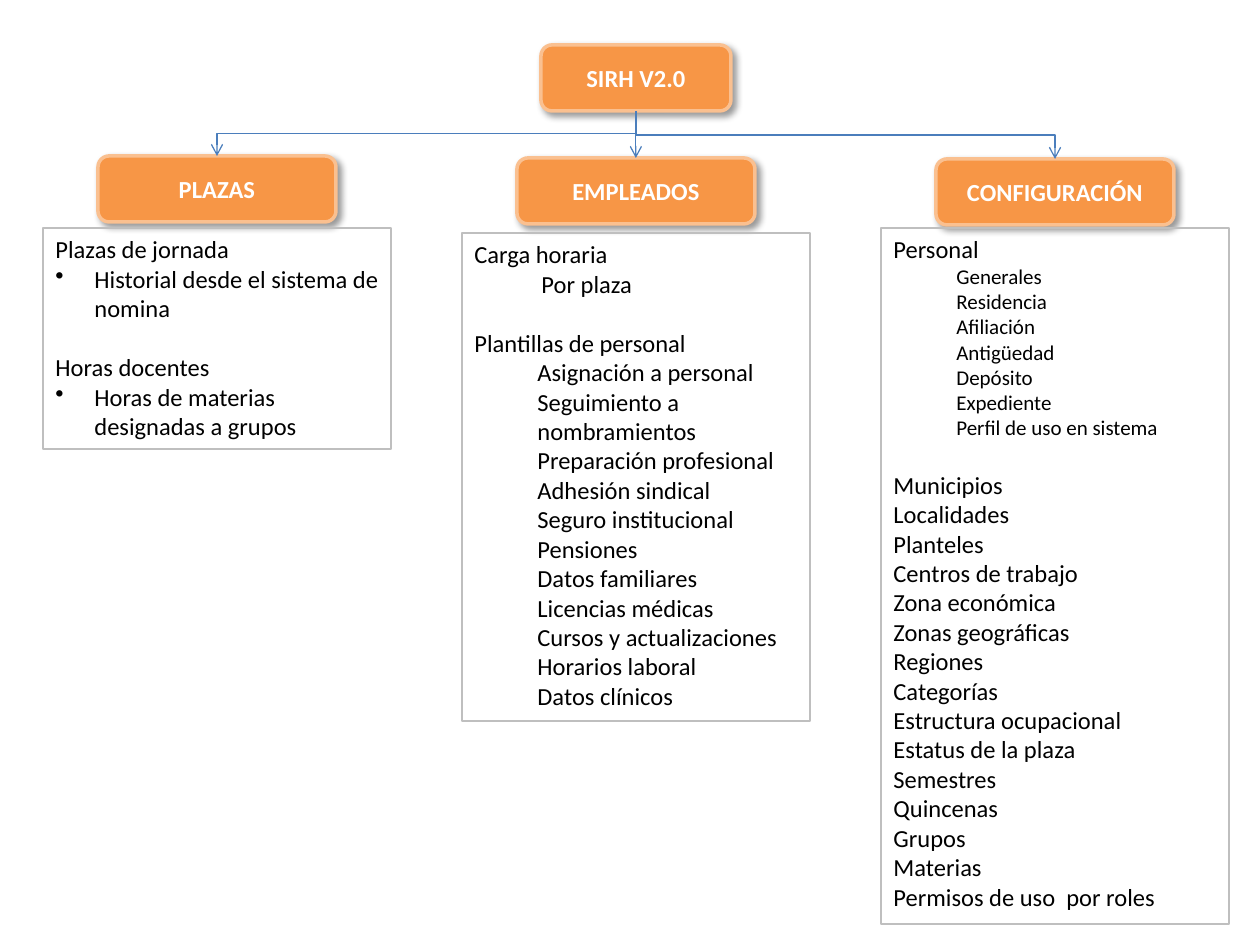
from lxml import etree
from pptx import Presentation
from pptx.dml.color import RGBColor
from pptx.enum.shapes import MSO_CONNECTOR, MSO_SHAPE
from pptx.enum.text import MSO_ANCHOR, MSO_AUTO_SIZE, PP_ALIGN
from pptx.oxml.ns import qn
from pptx.util import Emu, Pt

ELBOW = MSO_CONNECTOR.ELBOW
ROUNDED = MSO_SHAPE.ROUNDED_RECTANGLE
MIDDLE = MSO_ANCHOR.MIDDLE
FIT = MSO_AUTO_SIZE.SHAPE_TO_FIT_TEXT
CENTER = PP_ALIGN.CENTER

COLORS = {
    "box": "F79646", "box_line": "FAC090", "list_line": "BFBFBF",
    "connector": "4B7EBC", "white": "FFFFFF", "black": "000000",
}
FONT = "Calibri"
PIXEL = 914400 / 126

ROOT = "SIRH V2.0"
STYLES = {
    "main": {"size": 14, "indent": 0, "bullet": False, "before": 0},
    "group": {"size": 14, "indent": 0, "bullet": False, "before": 17},
    "bullet": {"size": 14, "indent": 39, "bullet": True, "before": 0},
    "note": {"size": 14, "indent": 67, "bullet": False, "before": 0},
    "sub": {"size": 14, "indent": 63, "bullet": False, "before": 0},
    "small": {"size": 12, "indent": 63, "bullet": False, "before": 0},
}
COLUMNS = [
    {"title": "PLAZAS", "top": 156, "list_top": 228, "list_height": 221, "items": [
        ("main", ["Plazas de jornada"]),
        ("bullet", ["Historial desde el sistema de nomina"]),
        ("group", ["Horas docentes"]),
        ("bullet", ["Horas de materias designadas a grupos"]),
    ]},
    {"title": "EMPLEADOS", "top": 158, "list_top": 233, "list_height": 488, "items": [
        ("main", ["Carga horaria"]),
        ("note", ["Por plaza"]),
        ("group", ["Plantillas de personal"]),
        ("sub", ["Asignación a personal", "Seguimiento a nombramientos",
                 "Preparación profesional", "Adhesión sindical",
                 "Seguro institucional", "Pensiones", "Datos familiares",
                 "Licencias médicas", "Cursos y actualizaciones",
                 "Horarios laboral", "Datos clínicos"]),
    ]},
    {"title": "CONFIGURACIÓN", "top": 159, "list_top": 228, "list_height": 696, "items": [
        ("main", ["Personal"]),
        ("small", ["Generales", "Residencia", "Afiliación", "Antigüedad",
                   "Depósito", "Expediente", "Perfil de uso en sistema"]),
        ("group", ["Municipios"]),
        ("main", ["Localidades", "Planteles", "Centros de trabajo",
                  "Zona económica", "Zonas geográficas", "Regiones",
                  "Categorías", "Estructura ocupacional",
                  "Estatus de la plaza", "Semestres", "Quincenas", "Grupos",
                  "Materias", "Permisos de uso  por roles"]),
    ]},
]

FIRST_CENTER, COLUMN_STEP = 217, 419
ROOT_CENTER = FIRST_CENTER + COLUMN_STEP
ROOT_TOP, ROOT_WIDTH = 45, 190
BOX_WIDTH, BOX_HEIGHT, LIST_WIDTH = 238, 66, 348


def px(value):
    return Emu(round(value * PIXEL))


def color(name):
    return RGBColor.from_string(COLORS[name])


def set_line(line, name, width):
    line.color.rgb = color(name)
    line.width = Pt(width)


def set_font(paragraph, name, size, bold=False):
    font = paragraph.font
    font.name, font.size, font.bold = FONT, Pt(size), bold
    font.color.rgb = color(name)


def add_shadow(shape):
    shape.shadow.inherit = False
    effects = shape._element.spPr.find(qn("a:effectLst"))
    shadow = etree.SubElement(effects, qn("a:outerShdw"), blurRad=str(Pt(4)),
                              dist=str(Pt(3)), dir="2700000", algn="tl", rotWithShape="0")
    shade = etree.SubElement(shadow, qn("a:srgbClr"), val=COLORS["black"])
    etree.SubElement(shade, qn("a:alpha"), val="40000")


def add_box(slide, text, center, top, width):
    box = slide.shapes.add_shape(ROUNDED, px(center - width / 2), px(top), px(width), px(BOX_HEIGHT))
    box.fill.solid()
    box.fill.fore_color.rgb = color("box")
    set_line(box.line, "box_line", 2)
    add_shadow(box)
    box.text_frame.vertical_anchor = MIDDLE
    paragraph = box.text_frame.paragraphs[0]
    paragraph.text = text
    paragraph.alignment = CENTER
    set_font(paragraph, "white", 14, True)


def add_list(slide, column, center):
    box = slide.shapes.add_textbox(px(center - LIST_WIDTH / 2), px(column["list_top"]),
                                   px(LIST_WIDTH), px(column["list_height"]))
    set_line(box.line, "list_line", 0.75)
    frame = box.text_frame
    frame.word_wrap = True
    frame.auto_size = FIT
    entries = [(style, text) for style, texts in column["items"] for text in texts]
    for index, (style_name, text) in enumerate(entries):
        style = STYLES[style_name]
        paragraph = frame.add_paragraph() if index else frame.paragraphs[0]
        paragraph.text = text
        paragraph.space_before = Pt(style["before"])
        set_font(paragraph, "black", style["size"])
        properties = paragraph._p.get_or_add_pPr()
        indent = px(style["indent"])
        properties.set("marL", str(indent))
        properties.set("indent", str(-indent if style["bullet"] else 0))
        if style["bullet"]:
            bullet = etree.Element(qn("a:buChar"), char="•")
            properties.find(qn("a:defRPr")).addprevious(bullet)


def add_branch(slide, center, top):
    start = ROOT_TOP + BOX_HEIGHT
    middle_x, middle_y = (ROOT_CENTER + center) / 2, (start + top) / 2
    half_width, half_height = (top - start) / 2, abs(center - ROOT_CENTER) / 2
    side = -1 if center < ROOT_CENTER else 1
    branch = slide.shapes.add_connector(
        ELBOW, px(middle_x + side * half_width), px(middle_y - half_height),
        px(middle_x - side * half_width), px(middle_y + half_height))
    set_line(branch.line, "connector", 0.75)
    properties = branch._element.spPr
    properties.find(qn("a:xfrm")).set("rot", "5400000" if side < 0 else "16200000")
    etree.SubElement(properties.find(qn("a:ln")), qn("a:tailEnd"), type="arrow")
    etree.SubElement(properties, qn("a:effectLst"))


presentation = Presentation()
presentation.slide_width, presentation.slide_height = px(1260), px(945)
slide = presentation.slides.add_slide(presentation.slide_layouts[6])
centers = [FIRST_CENTER + index * COLUMN_STEP for index in range(len(COLUMNS))]

add_box(slide, ROOT, ROOT_CENTER, ROOT_TOP, ROOT_WIDTH)
for column, center in zip(COLUMNS, centers):
    add_box(slide, column["title"], center, column["top"], BOX_WIDTH)
for column, center in zip(COLUMNS, centers):
    add_list(slide, column, center)
for column, center in zip(COLUMNS, centers):
    add_branch(slide, center, column["top"])

presentation.save("out.pptx")
